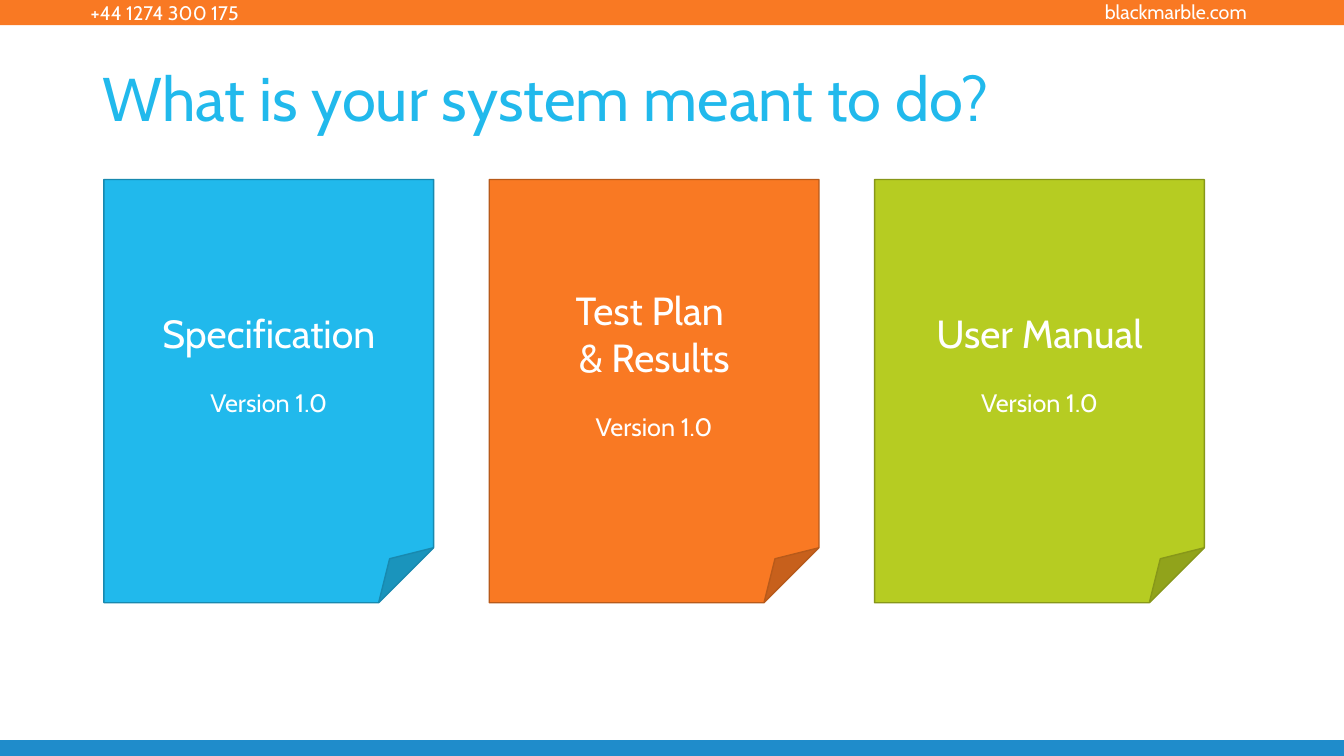
from pptx import Presentation
from pptx.dml.color import RGBColor
from pptx.enum.shapes import MSO_SHAPE as Preset
from pptx.enum.text import MSO_ANCHOR as Anchor, MSO_AUTO_SIZE as AutoSize, PP_ALIGN as Align
from pptx.util import Emu, Pt

COLOURS = {
    "white": "FFFFFF",
    "sky": "21B9EC",
    "sky edge": "1889AF",
    "orange": "F97923",
    "orange edge": "B85A1A",
    "lime": "B6CC22",
    "lime edge": "879719",
    "footer": "1F8CCB",
}
EMU_PER_PX = 9525
WIDTH, HEIGHT = 1280, 720


def px(length):
    return Emu(length * EMU_PER_PX)


def colour(name):
    return RGBColor.from_string(COLOURS[name])


def write(paragraph, text, size, ink="white", align=Align.LEFT, before=0, spacing=1.0):
    for number, line in enumerate(text.split("\n")):
        if number:
            paragraph.add_line_break()
        run = paragraph.add_run()
        run.text = line
        run.font.name = "Cabin"
        run.font.size = Pt(size)
        run.font.color.rgb = colour(ink)
    paragraph.alignment = align
    paragraph.line_spacing = spacing
    if before:
        paragraph.space_before = Pt(before)


class DocumentSlide:
    """Draws the bars, title and document cards on one slide."""

    def __init__(self, deck):
        self.slide = deck.slides.add_slide(deck.slide_layouts[5])
        self.shapes = self.slide.shapes

    def block(self, preset, left, top, width, height, fill, edge=None):
        block = self.shapes.add_shape(preset, px(left), px(top), px(width), px(height))
        block.shadow.inherit = False
        block.fill.solid()
        block.fill.fore_color.rgb = colour(fill)
        if edge:
            block.line.color.rgb = colour(edge)
            block.line.width = Pt(1)
        else:
            block.line.fill.background()
        return block

    def bar(self, top, height, fill):
        self.block(Preset.RECTANGLE, 0, top, WIDTH, height, fill)

    def contact(self, text, left, top, align):
        frame = self.shapes.add_textbox(px(left), px(top), px(227), px(33)).text_frame
        frame.word_wrap = True
        frame.auto_size = AutoSize.SHAPE_TO_FIT_TEXT
        write(frame.paragraphs[0], text, 14, align=align)

    def title(self, text, left, top, width, height):
        heading = self.shapes.title
        heading.left, heading.top = px(left), px(top)
        heading.width, heading.height = px(width), px(height)
        frame = heading.text_frame
        frame.word_wrap = True
        frame.auto_size = AutoSize.NONE
        frame.vertical_anchor = Anchor.TOP
        write(frame.paragraphs[0], text, 44, ink="sky", spacing=0.9)

    def document(self, name, version, left, fill):
        page = self.block(Preset.FOLDED_CORNER, left, 171, 314, 403, fill, f"{fill} edge")
        frame = page.text_frame
        frame.word_wrap = True
        frame.vertical_anchor = Anchor.MIDDLE
        write(frame.paragraphs[0], name, 28, align=Align.CENTER)
        write(frame.add_paragraph(), version, 18, align=Align.CENTER, before=22)


def main():
    deck = Presentation()
    deck.slide_width, deck.slide_height = px(WIDTH), px(HEIGHT)
    page = DocumentSlide(deck)
    page.bar(0, 24, "orange")
    page.contact("+44 1274 300 175", 77, -4, Align.LEFT)
    page.contact("blackmarble.com", 970, -5, Align.RIGHT)
    page.bar(705, 15, "footer")
    page.title("What is your system meant to do?", 88, 60, 1104, 139)

    documents = [
        ("Specification", "sky"),
        ("Test Plan \n& Results", "orange"),
        ("User Manual", "lime"),
    ]
    for column, (name, fill) in enumerate(documents):
        page.document(name, "Version 1.0", 99 + 367 * column, fill)
    deck.save("out.pptx")


if __name__ == "__main__":
    main()
